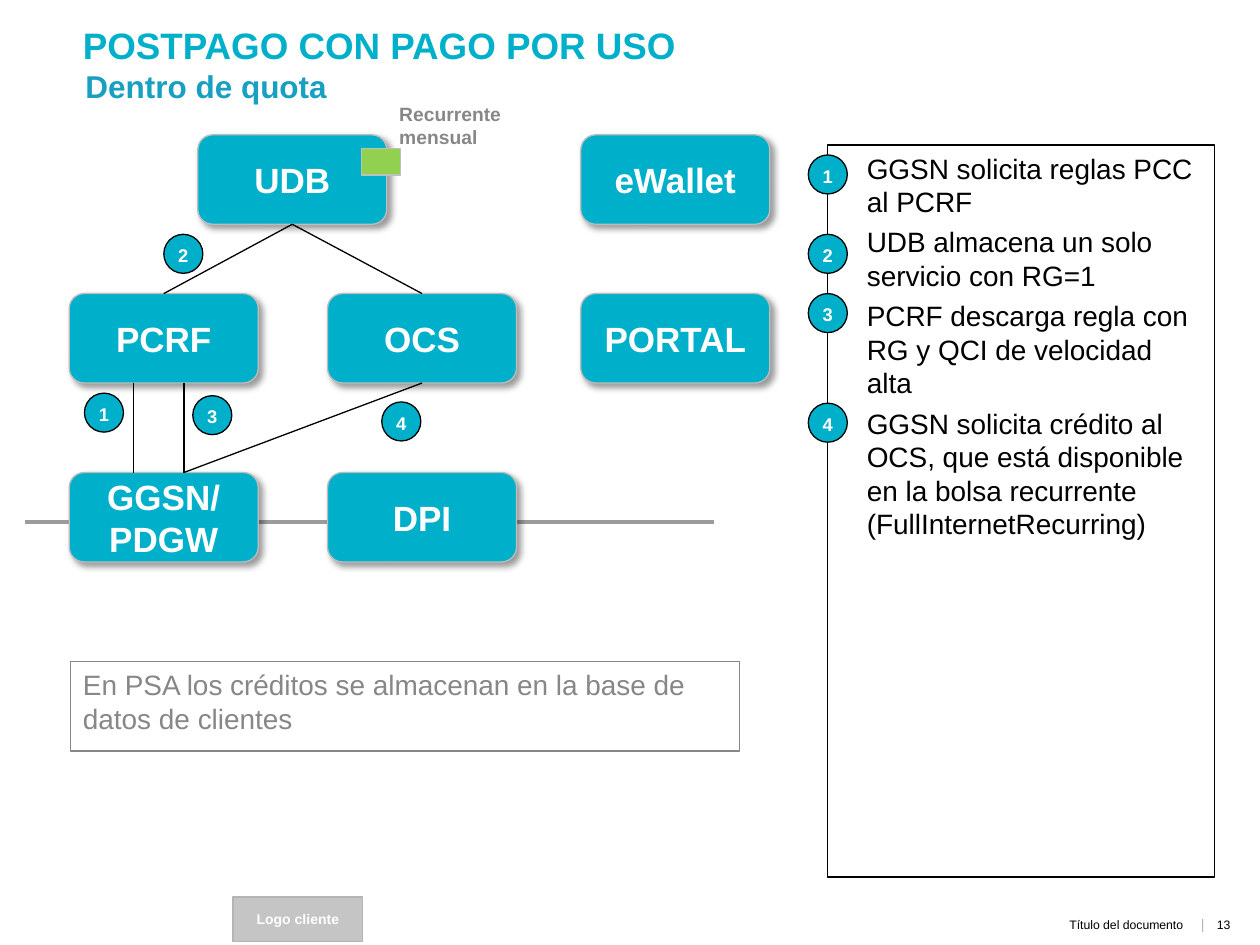
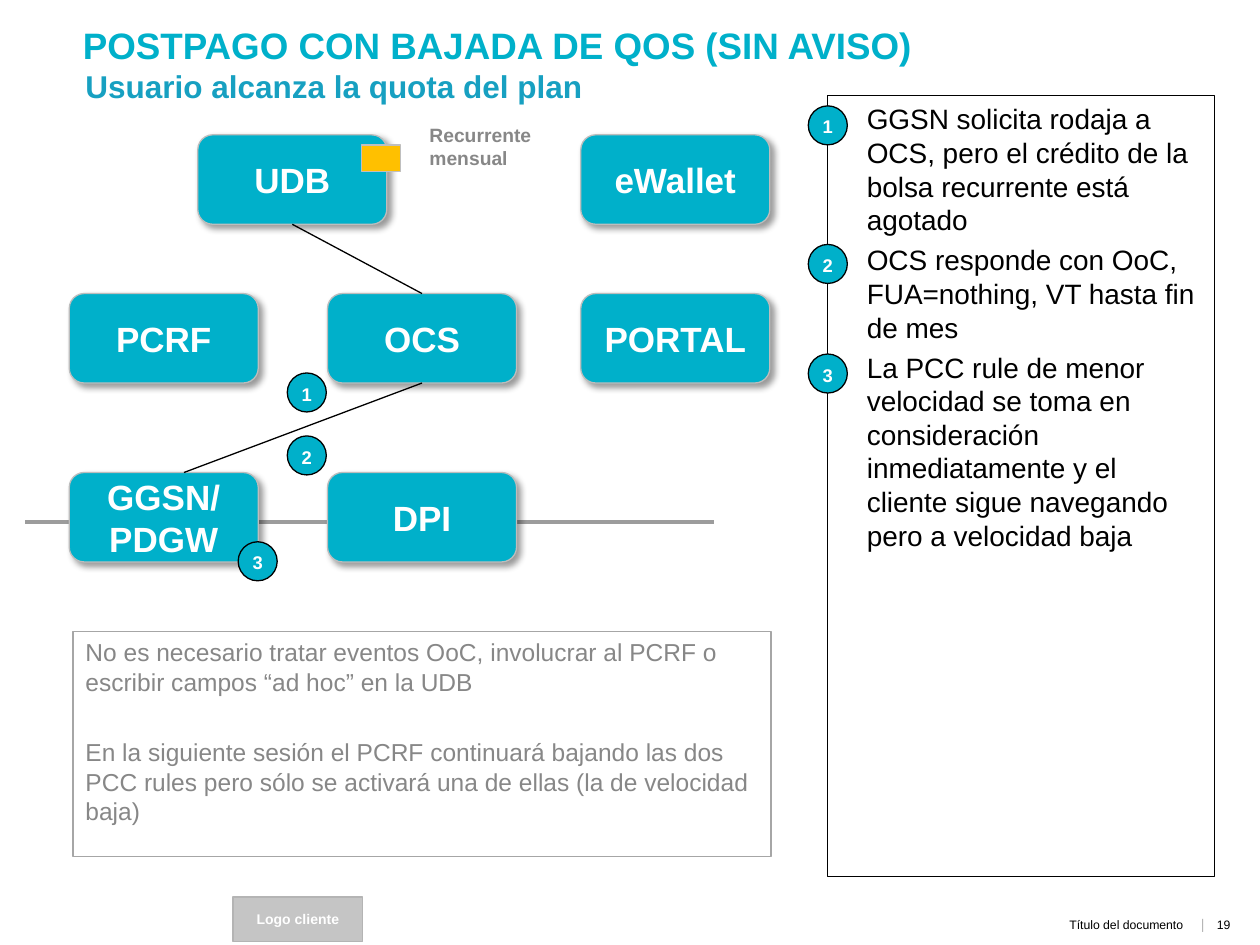
from collections import namedtuple

from lxml import etree
from pptx import Presentation
from pptx import util as u
from pptx.dml import color
from pptx.enum import shapes, text
from pptx.oxml import ns

Box = namedtuple("Box", "left top width height")

FONT = "Arial"
TEAL, SUBTITLE_BLUE = "00B0CA", "17A0C1"
BLACK, WHITE, GREY, AXIS_GREY = "000000", "FFFFFF", "878787", "9C9C9C"
NODE_WIDTH, NODE_HEIGHT = 1.5, 0.71
MARKER = 0.31
LEFT, CENTER, RIGHT = text.PP_ALIGN.LEFT, text.PP_ALIGN.CENTER, text.PP_ALIGN.RIGHT
TOP, MIDDLE = text.MSO_ANCHOR.TOP, text.MSO_ANCHOR.MIDDLE
KIND = shapes.MSO_SHAPE

# Offsets from the diagram's corner
NODES = {
    "UDB": (1.02, 0), "eWallet": (4.06, 0),
    "PCRF": (0, 1.26), "OCS": (2.05, 1.26), "PORTAL": (4.06, 1.26),
    "GGSN/\nPDGW": (0, 2.68), "DPI": (2.05, 2.68),
}
GATEWAY_PORTS = (0.51, 0.91)


def rgb(value):
    return color.RGBColor.from_string(value)


def inches(*values):
    return [u.Inches(value) for value in values]


def add_element(parent, tag, **attributes):
    element = etree.SubElement(parent, ns.qn(tag))
    for name, value in attributes.items():
        element.set(name, str(value))
    return element


def write(shape, content, size, ink, bold=False, align=LEFT, anchor=TOP,
          insets=(0.1, 0.05, 0.1, 0.05), gap=0, wrap=True):
    """Fill a shape with one paragraph per line of content."""
    frame = shape.text_frame
    frame.text = content
    frame.word_wrap = wrap
    frame.vertical_anchor = anchor
    (frame.margin_left, frame.margin_top,
     frame.margin_right, frame.margin_bottom) = inches(*insets)
    for index, para in enumerate(frame.paragraphs):
        para.alignment = align
        if index and gap:
            para.space_before = u.Pt(gap)
        for span in para.runs:
            span.font.name = FONT
            span.font.size = u.Pt(size)
            span.font.bold = bold
            span.font.color.rgb = rgb(ink)


def add_label(page, box, content, size, ink, **style):
    label = page.shapes.add_textbox(*inches(*box))
    write(label, content, size, ink, **style)


def add_block(page, kind, box, fill, line):
    block = page.shapes.add_shape(kind, *inches(*box))
    block.shadow.inherit = False
    if fill:
        block.fill.solid()
        block.fill.fore_color.rgb = rgb(fill)
    else:
        block.fill.background()
    block.line.color.rgb = rgb(line)
    block.line.width = u.Pt(0.75)
    return block


def add_line(page, start, end, ink=BLACK, width=0.75):
    line = page.shapes.add_connector(
        shapes.MSO_CONNECTOR.STRAIGHT, *inches(*start, *end))
    line.line.color.rgb = rgb(ink)
    line.line.width = u.Pt(width)
    add_element(line._element.spPr, "a:effectLst")
    return line


def add_marker(page, left, top, number):
    marker = add_block(page, KIND.OVAL, (left, top, MARKER, MARKER), TEAL, BLACK)
    write(marker, str(number), 10.5, WHITE, bold=True, align=CENTER,
          anchor=MIDDLE, insets=(0, 0.02, 0, 0), wrap=False)


def add_node(page, left, top, name):
    node = add_block(page, KIND.ROUNDED_RECTANGLE,
                     (left, top, NODE_WIDTH, NODE_HEIGHT), TEAL, "BDBDBD")
    effects = node._element.spPr.find(ns.qn("a:effectLst"))
    shadow = add_element(effects, "a:outerShdw", blurRad=u.Pt(4), dist=u.Pt(3),
                         dir=45 * 60000, algn="tl", rotWithShape=0)
    ink = add_element(shadow, "a:srgbClr", val=BLACK)
    add_element(ink, "a:alpha", val=40000)
    write(node, name, 20, WHITE, bold=True, align=CENTER, anchor=MIDDLE)
    return node


def add_heading(page, box, title, subtitle):
    add_label(page, box, title, 21, TEAL, bold=True)
    add_label(page, (box.left + 0.02, box.top + 0.35, box.width, 0.4),
              subtitle, 18, SUBTITLE_BLUE, bold=True)


def add_footer(page, box, number):
    # Client placeholder
    client = add_block(page, KIND.RECTANGLE,
                       (box.left, box.top, 1.03, box.height), "B4B4B4", "B4B4B4")
    fill_ink = client._element.spPr.find(ns.qn("a:solidFill"))[0]
    add_element(fill_ink, "a:alpha", val=76000)
    write(client, "Logo cliente", 8, WHITE, bold=True, align=CENTER, anchor=MIDDLE)

    # Document title, divider and page number
    flush = dict(align=RIGHT, anchor=MIDDLE, insets=(0, 0, 0, 0))
    add_label(page, (box.left + 1.56, box.top + 0.14, 5.98, 0.16),
              "Título del documento", 7, BLACK, **flush)
    add_label(page, (box.left + 7.63, box.top + 0.13, 0.08, 0.16),
              "|", 8, "B6B6B6", **flush)
    add_label(page, (box.left + 7.71, box.top + 0.11, 0.44, 0.24),
              str(number), 7, BLACK)


def add_diagram(page, box, pcrf_linked, markers, swatch, swatch_top, label):
    def place(left, top):
        return box.left + left, box.top + top

    # Traffic axis behind the nodes
    add_line(page, place(-0.35, 3.07), place(box.width, 3.07), AXIS_GREY, 2.25)
    nodes = {name: add_node(page, *place(*offset), name)
             for name, offset in NODES.items()}

    # Links between nodes
    pcrf_bottom = NODES["PCRF"][1] + NODE_HEIGHT
    gateway_top = NODES["GGSN/\nPDGW"][1]
    for name in ("PCRF", "OCS") if pcrf_linked else ("OCS",):
        link = add_line(page, place(0, 0), place(1, 1))
        link.begin_connect(nodes[name], 0)
        link.end_connect(nodes["UDB"], 2)
    if pcrf_linked:
        for port in GATEWAY_PORTS:
            add_line(page, place(port, gateway_top), place(port, pcrf_bottom))
    credit_link = add_line(page, place(0, 0), place(GATEWAY_PORTS[1], gateway_top))
    credit_link.begin_connect(nodes["OCS"], 2)

    # Step markers
    for number, offset in enumerate(markers, 1):
        add_marker(page, *place(*offset), number)

    # Recurring quota
    add_block(page, KIND.RECTANGLE, (*place(2.32, swatch_top), MARKER, 0.21),
              swatch, "BFBFBF")
    add_label(page, (*place(*label), 1.3, 0.47), "Recurrente mensual", 11, GREY,
              bold=True)


def add_steps(page, box, steps):
    """Steps are pairs of marker offset and wording."""
    panel = add_block(page, KIND.RECTANGLE, box, None, BLACK)
    write(panel, "\n".join(wording for _, wording in steps), 16, BLACK,
          insets=(0.31, 0.05, 0.08, 0.05), gap=3.8)
    for number, (offset, _) in enumerate(steps, 1):
        add_marker(page, box.left - MARKER / 2, box.top + offset, number)


def add_note(page, box, content, size, line, gap=0):
    note = add_block(page, KIND.RECTANGLE, box, None, line)
    write(note, content, size, GREY, gap=gap)


def add_scenario(deck, number, title, subtitle, diagram, steps_top, steps, note):
    page = deck.slides.add_slide(deck.slide_layouts[6])
    add_footer(page, Box(1.85, 7.12, 8.15, 0.35), number)
    add_heading(page, Box(0.56, 0.13, 9.09, 0.44), title, subtitle)
    add_diagram(page, Box(0.55, 1.07, 5.12, 3.39), **diagram)
    add_steps(page, Box(6.57, steps_top, 3.07, 6.96 - steps_top), steps)
    add_note(page, **note)


def main():
    deck = Presentation()
    deck.slide_width, deck.slide_height = inches(10, 7.5)

    add_scenario(
        deck, 13, "POSTPAGO CON PAGO POR USO", "Dentro de quota",
        diagram=dict(
            pcrf_linked=True,
            markers=[(0.12, 2.05), (0.75, 0.79), (0.98, 2.07), (2.48, 2.12)],
            swatch="92D050", swatch_top=0.11, label=(2.52, -0.31)),
        steps_top=1.15,
        steps=[
            (0.08, "GGSN solicita reglas PCC al PCRF"),
            (0.71, "UDB almacena un solo servicio con RG=1"),
            (1.18, "PCRF descarga regla con RG y QCI de velocidad alta"),
            (2.05, "GGSN solicita crédito al OCS, que está disponible en la "
                   "bolsa recurrente (FullInternetRecurring)"),
        ],
        note=dict(
            box=Box(0.56, 5.25, 5.31, 0.71), size=16, line=GREY,
            content="En PSA los créditos se almacenan en la base de datos de "
                    "clientes"))

    add_scenario(
        deck, 19, "POSTPAGO CON BAJADA DE QOS (SIN AVISO)",
        "Usuario alcanza la quota del plan",
        diagram=dict(
            pcrf_linked=False,
            markers=[(1.73, 1.89), (1.73, 2.39), (1.34, 3.23)],
            swatch="FFC000", swatch_top=0.08, label=(2.76, -0.14)),
        steps_top=0.76,
        steps=[
            (0.08, "GGSN solicita rodaja a OCS, pero el crédito de la bolsa "
                   "recurrente está agotado"),
            (1.18, "OCS responde con OoC, FUA=nothing, VT hasta fin de mes"),
            (2.05, "La PCC rule de menor velocidad se toma en consideración "
                   "inmediatamente y el cliente sigue navegando pero a "
                   "velocidad baja"),
        ],
        note=dict(
            box=Box(0.58, 5.01, 5.54, 1.79), size=14, line="A6A6A6", gap=23.4,
            content="No es necesario tratar eventos OoC, involucrar al PCRF o "
                    "escribir campos “ad hoc” en la UDB\n"
                    "En la siguiente sesión el PCRF continuará bajando las dos "
                    "PCC rules pero sólo se activará una de ellas (la de "
                    "velocidad baja)"))

    deck.save("out.pptx")


if __name__ == "__main__":
    main()
